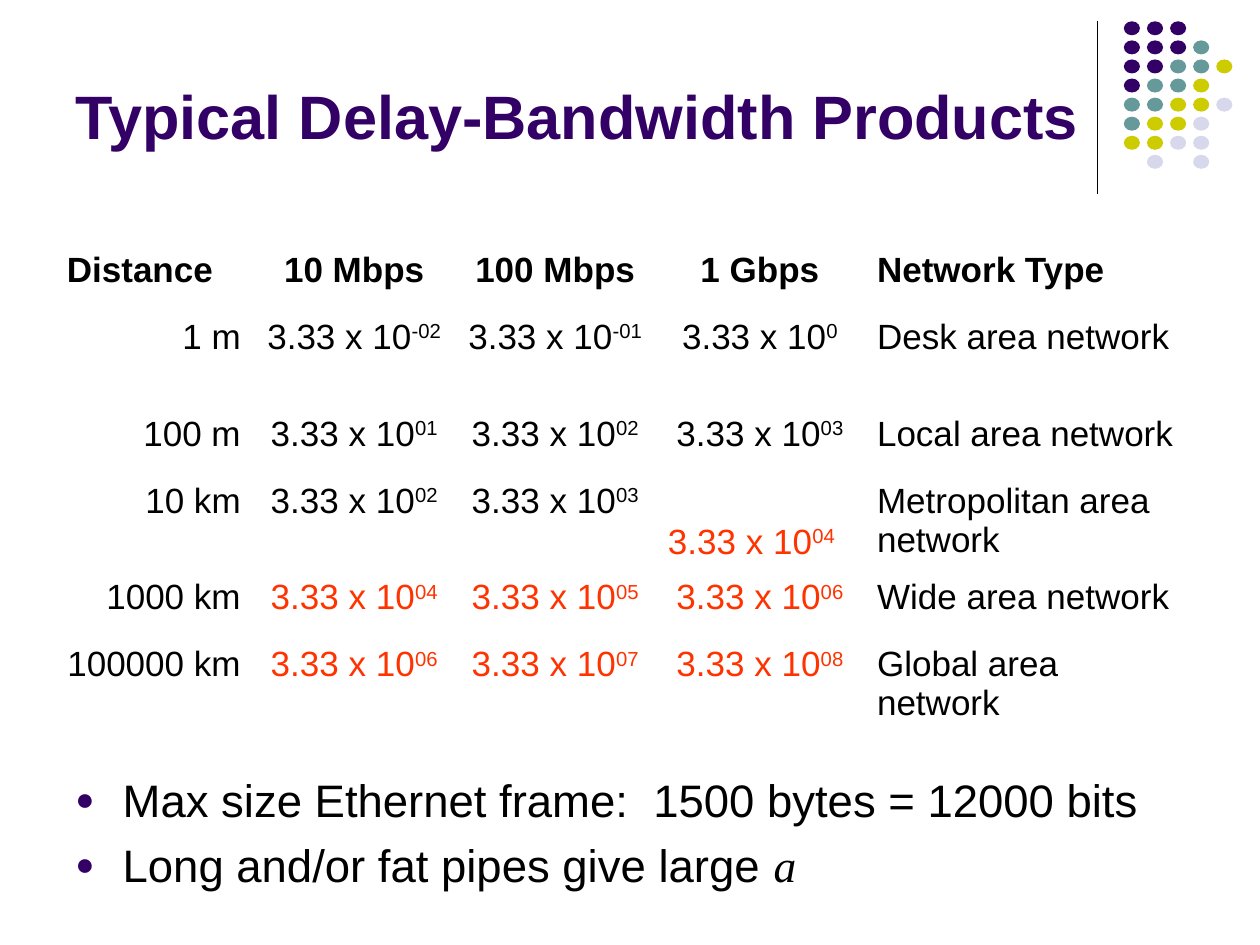
from dataclasses import dataclass

from lxml import etree
from pptx import Presentation
from pptx.dml.color import RGBColor
from pptx.enum.shapes import MSO_CONNECTOR, MSO_SHAPE
from pptx.enum.text import MSO_ANCHOR, PP_ALIGN
from pptx.oxml.ns import qn
from pptx.util import Pt

LEFT, CENTER, RIGHT = PP_ALIGN.LEFT, PP_ALIGN.CENTER, PP_ALIGN.RIGHT
TOP, BOTTOM = MSO_ANCHOR.TOP, MSO_ANCHOR.BOTTOM
OVAL = MSO_SHAPE.OVAL
STRAIGHT = MSO_CONNECTOR.STRAIGHT

COLORS = {
    "purple": "330066",
    "teal": "669999",
    "lime": "CCCC00",
    "lavender": "D8D8EC",
    "black": "000000",
    "orange": "FF3300",
}
DOT_COLORS = {"P": "purple", "T": "teal", "L": "lime", "V": "lavender"}
DOT_ROWS = ("PPP", "PPPT", "PPTTL", "PTTL", "TTLLV", "TLLV", "LLVV", " V V")
COLUMN_WIDTHS = (113.8, 115.2, 114.5, 119.5, 192.2)
ROW_HEIGHTS = (38.2, 55.4) * 3
HEADERS = ("Distance", "10 Mbps", "100 Mbps", "1 Gbps", "Network Type")
HEADER_ALIGNMENTS = (LEFT, CENTER, CENTER, CENTER, LEFT)


@dataclass
class DelayRow:
    distance: str
    exponents: tuple[str, str, str]
    network: str
    first_large: int = 3


DELAY_ROWS = (
    DelayRow("1 m", ("-02", "-01", "0"), "Desk area network"),
    DelayRow("100 m", ("01", "02", "03"), "Local area network"),
    DelayRow("10 km", ("02", "03", "04"), "Metropolitan area network", 2),
    DelayRow("1000 km", ("04", "05", "06"), "Wide area network", 0),
    DelayRow("100000 km", ("06", "07", "08"), "Global area network", 0),
)


def rgb(name: str) -> RGBColor:
    return RGBColor.from_string(COLORS[name])


def add_text(paragraph, text: str, *, size: float = 20, color: str = "black",
             font: str = "Arial", bold: bool = False, italic: bool = False,
             superscript: bool = False) -> None:
    run = paragraph.add_run()
    run.text = text
    run.font.size = Pt(size)
    run.font.name = font
    run.font.bold = bold
    run.font.italic = italic
    run.font.color.rgb = rgb(color)
    if superscript:
        run._r.get_or_add_rPr().set("baseline", "30000")


def add_frame(slide, left: float, top: float, width: float, height: float, anchor):
    frame = slide.shapes.add_textbox(Pt(left), Pt(top), Pt(width), Pt(height)).text_frame
    frame.word_wrap = True
    frame.vertical_anchor = anchor
    return frame


def add_bullet(paragraph) -> None:
    properties = paragraph._p.get_or_add_pPr()
    properties.set("marL", str(Pt(27)))
    properties.set("indent", str(-Pt(27)))
    color = etree.SubElement(properties, qn("a:buClr"))
    etree.SubElement(color, qn("a:srgbClr")).set("val", COLORS["purple"])
    etree.SubElement(properties, qn("a:buSzPct")).set("val", "70000")
    etree.SubElement(properties, qn("a:buFont")).set("typeface", "Arial")
    etree.SubElement(properties, qn("a:buChar")).set("char", "●")


def draw_dots(slide) -> None:
    for row, codes in enumerate(DOT_ROWS):
        for column, code in enumerate(codes):
            if code in DOT_COLORS:
                dot = slide.shapes.add_shape(
                    OVAL, Pt(642.2 + 13.2 * column), Pt(12.2 + 10.9 * row), Pt(9.2), Pt(8))
                dot.shadow.inherit = False
                dot.fill.solid()
                dot.fill.fore_color.rgb = rgb(DOT_COLORS[code])
                dot.line.fill.background()


def draw_divider(slide) -> None:
    divider = slide.shapes.add_connector(STRAIGHT, Pt(627), Pt(12), Pt(627), Pt(111))
    divider.line.color.rgb = rgb("black")
    divider.line.width = Pt(0.75)
    etree.SubElement(divider._element.spPr, qn("a:effectLst"))


def draw_table(slide) -> None:
    table = slide.shapes.add_table(
        len(ROW_HEIGHTS), len(COLUMN_WIDTHS), Pt(31), Pt(139.7),
        Pt(sum(COLUMN_WIDTHS)), Pt(sum(ROW_HEIGHTS))).table
    table.first_row = False
    table.horz_banding = False
    for column, width in zip(table.columns, COLUMN_WIDTHS):
        column.width = Pt(width)
    for row, height in zip(table.rows, ROW_HEIGHTS):
        row.height = Pt(height)
    for cell in table.iter_cells():
        cell.fill.background()

    def start_cell(row: int, column: int, alignment):
        paragraph = table.cell(row, column).text_frame.paragraphs[0]
        paragraph.alignment = alignment
        return paragraph

    for column, (header, alignment) in enumerate(zip(HEADERS, HEADER_ALIGNMENTS)):
        add_text(start_cell(0, column, alignment), header, bold=True)
    for row, delay in enumerate(DELAY_ROWS, start=1):
        add_text(start_cell(row, 0, RIGHT), delay.distance)
        for index, exponent in enumerate(delay.exponents):
            color = "orange" if index >= delay.first_large else "black"
            paragraph = start_cell(row, index + 1, CENTER)
            add_text(paragraph, "3.33 x 10", color=color)
            add_text(paragraph, exponent, color=color, superscript=True)
        add_text(start_cell(row, 4, LEFT), delay.network)

    lowered_cell = table.cell(3, 3)
    lowered_cell.vertical_anchor = BOTTOM
    lowered_cell.margin_bottom = Pt(6)
    lowered_cell.text_frame.paragraphs[0].alignment = LEFT


def draw_bullets(slide) -> None:
    frame = add_frame(slide, 36, 437.5, 648, 96, TOP)
    frame_size = frame.paragraphs[0]
    add_bullet(frame_size)
    add_text(frame_size, "Max size Ethernet frame:  1500 bytes = 12000 bits", size=26)
    pipes = frame.add_paragraph()
    pipes.space_before = Pt(6)
    add_bullet(pipes)
    add_text(pipes, "Long and/or fat pipes give large ", size=26)
    add_text(pipes, "a", size=26, font="Times New Roman", italic=True)


def main() -> None:
    presentation = Presentation()
    presentation.slide_width, presentation.slide_height = Pt(720), Pt(540)
    slide = presentation.slides.add_slide(presentation.slide_layouts[6])
    draw_divider(slide)
    draw_dots(slide)
    title = add_frame(slide, 36, 9.4, 594, 80.6, BOTTOM)
    add_text(title.paragraphs[0], "Typical Delay-Bandwidth Products",
             size=35, color="purple", bold=True)
    draw_bullets(slide)
    draw_table(slide)
    presentation.save("out.pptx")


if __name__ == "__main__":
    main()
